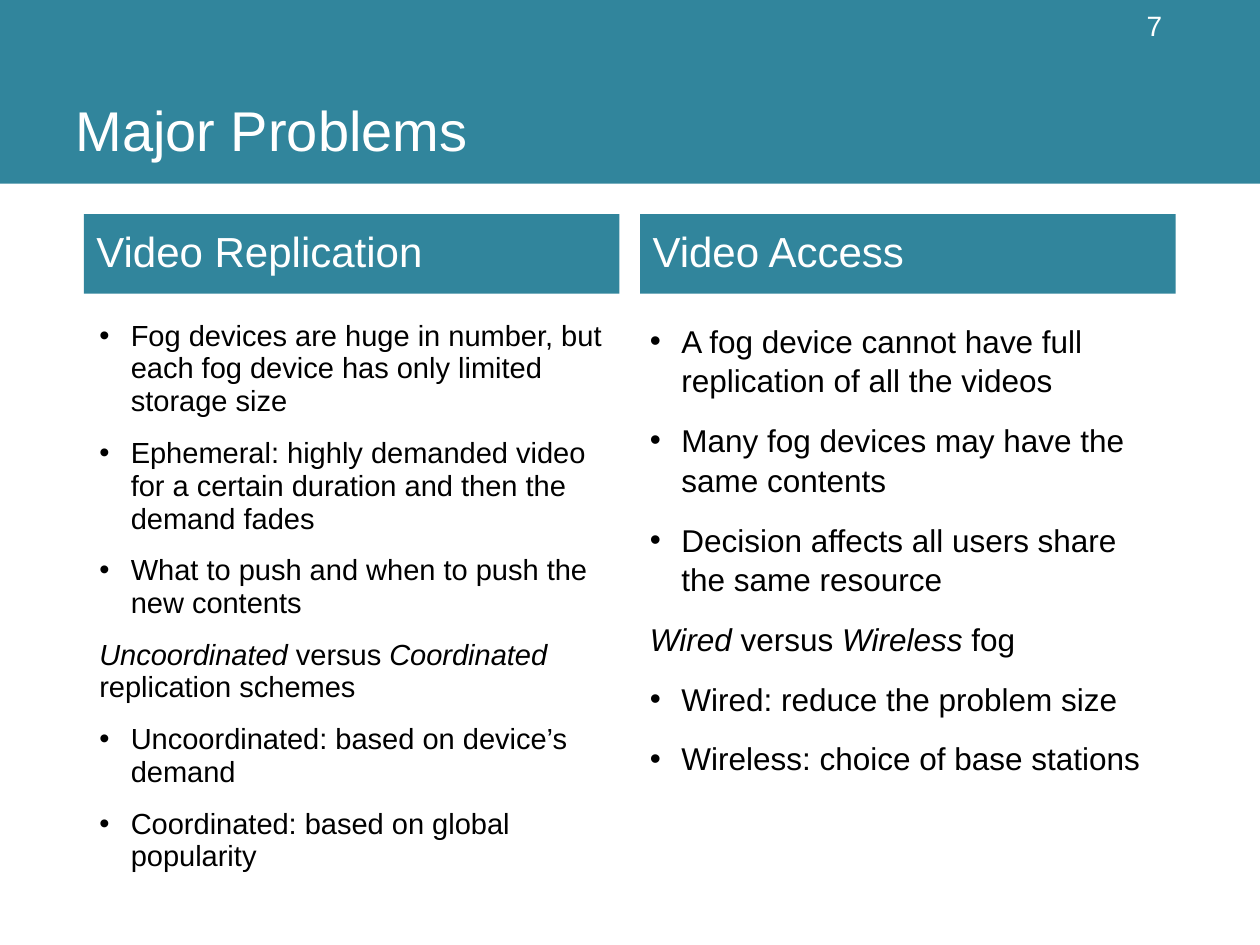
from dataclasses import dataclass

import lxml.etree
import pptx
import pptx.dml.color
import pptx.enum.shapes
import pptx.enum.text
import pptx.oxml.ns
import pptx.util

Pt = pptx.util.Pt
ANCHOR = pptx.enum.text.MSO_ANCHOR
ALIGN = pptx.enum.text.PP_ALIGN
TEAL, WHITE, BLACK = "31859C", "FFFFFF", "000000"
FONT = "Arial"
INDENT = 18
HEADING_TOP, HEADING_WIDTH, HEADING_HEIGHT = 122.4, 306, 45.4
BODY_TOP = 179.3


@dataclass
class Area:
    left: float
    top: float
    width: float
    height: float

    def lengths(self) -> list:
        return [Pt(n) for n in (self.left, self.top, self.width, self.height)]


@dataclass
class Line:
    """A paragraph; every second span, from the first, is italic if not bulleted."""
    spans: list[str]
    bullet: bool = True


@dataclass
class Column:
    heading: str
    heading_left: float
    body: Area
    size: float
    line_spacing: float
    space_before: float
    lines: list[Line]


COLUMNS = [
    Column("Video Replication", 48, Area(49.7, BODY_TOP, 304.6, 329), 16.6, 0.945, 4.8, [
        Line(["Fog devices are huge in number, but each fog device has only limited storage size"]),
        Line(["Ephemeral: highly demanded video for a certain duration and then the demand fades"]),
        Line(["What to push and when to push the new contents"]),
        Line(["Uncoordinated", " versus ", "Coordinated", " replication schemes"], False),
        Line(["Uncoordinated: based on device’s demand"]),
        Line(["Coordinated: based on global popularity"]),
    ]),
    Column("Video Access", 365.8, Area(364.3, BODY_TOP, 306, 307.4), 18, 1.05, 5.4, [
        Line(["A fog device cannot have full replication of all the videos"]),
        Line(["Many fog devices may have the same contents"]),
        Line(["Decision affects all users share the same resource"]),
        Line(["Wired", " versus ", "Wireless", " fog"], False),
        Line(["Wired: reduce the problem size"]),
        Line(["Wireless: choice of base stations"]),
    ]),
]


def color(value: str) -> pptx.dml.color.RGBColor:
    return pptx.dml.color.RGBColor.from_string(value)


def set_all(target, formats: dict) -> None:
    for name, value in formats.items():
        setattr(target, name, value)


def add_span(para, text: str, size: float, fill: str, italic: bool = False) -> None:
    span = para.add_run()
    span.text = text
    set_all(span.font, {"name": FONT, "size": Pt(size), "italic": italic})
    span.font.color.rgb = color(fill)


def add_bullet(para) -> None:
    properties = para._p.get_or_add_pPr()
    properties.set("marL", str(Pt(INDENT)))
    properties.set("indent", str(-Pt(INDENT)))
    tag = pptx.oxml.ns.qn
    lxml.etree.SubElement(properties, tag("a:buFont")).set("typeface", FONT)
    lxml.etree.SubElement(properties, tag("a:buChar")).set("char", "•")


def add_bar(page, area: Area):
    bar = page.shapes.add_shape(pptx.enum.shapes.MSO_SHAPE.RECTANGLE, *area.lengths())
    bar.shadow.inherit = False
    bar.fill.solid()
    bar.fill.fore_color.rgb = color(TEAL)
    bar.line.fill.background()
    return bar


def write_label(box, text: str, size: float, anchor, align=ALIGN.LEFT) -> None:
    set_all(box.text_frame, {"word_wrap": True, "vertical_anchor": anchor})
    para = box.text_frame.paragraphs[0]
    para.alignment = align
    add_span(para, text, size, WHITE)


def add_body(page, column: Column) -> None:
    frame = page.shapes.add_textbox(*column.body.lengths()).text_frame
    frame.word_wrap = True
    formats = {"line_spacing": column.line_spacing,
               "space_before": Pt(column.space_before), "space_after": Pt(6)}
    for number, line in enumerate(column.lines):
        para = frame.add_paragraph() if number else frame.paragraphs[0]
        set_all(para, formats)
        if line.bullet:
            add_bullet(para)
        for position, text in enumerate(line.spans):
            add_span(para, text, column.size, BLACK, not line.bullet and position % 2 == 0)


def main() -> None:
    deck = pptx.Presentation()
    set_all(deck, {"slide_width": Pt(720), "slide_height": Pt(540)})
    page = deck.slides.add_slide(deck.slide_layouts[6])

    # Title band
    add_bar(page, Area(0, 0, 720, 105))
    title = page.shapes.add_textbox(*Area(36, 0, 634.3, 96.5).lengths())
    write_label(title, "Major Problems", 32, ANCHOR.BOTTOM)

    # Two columns, each a heading bar over its text
    for column in COLUMNS:
        add_body(page, column)
        heading = add_bar(page, Area(column.heading_left, HEADING_TOP,
                                     HEADING_WIDTH, HEADING_HEIGHT))
        write_label(heading, column.heading, 24, ANCHOR.MIDDLE)
        heading.text_frame.paragraphs[0].line_spacing = 0.9

    # Page number
    number = page.shapes.add_textbox(*Area(477.4, 0, 193.7, 28.8).lengths())
    write_label(number, "7", 16, ANCHOR.MIDDLE, ALIGN.RIGHT)

    deck.save("out.pptx")


if __name__ == "__main__":
    main()
